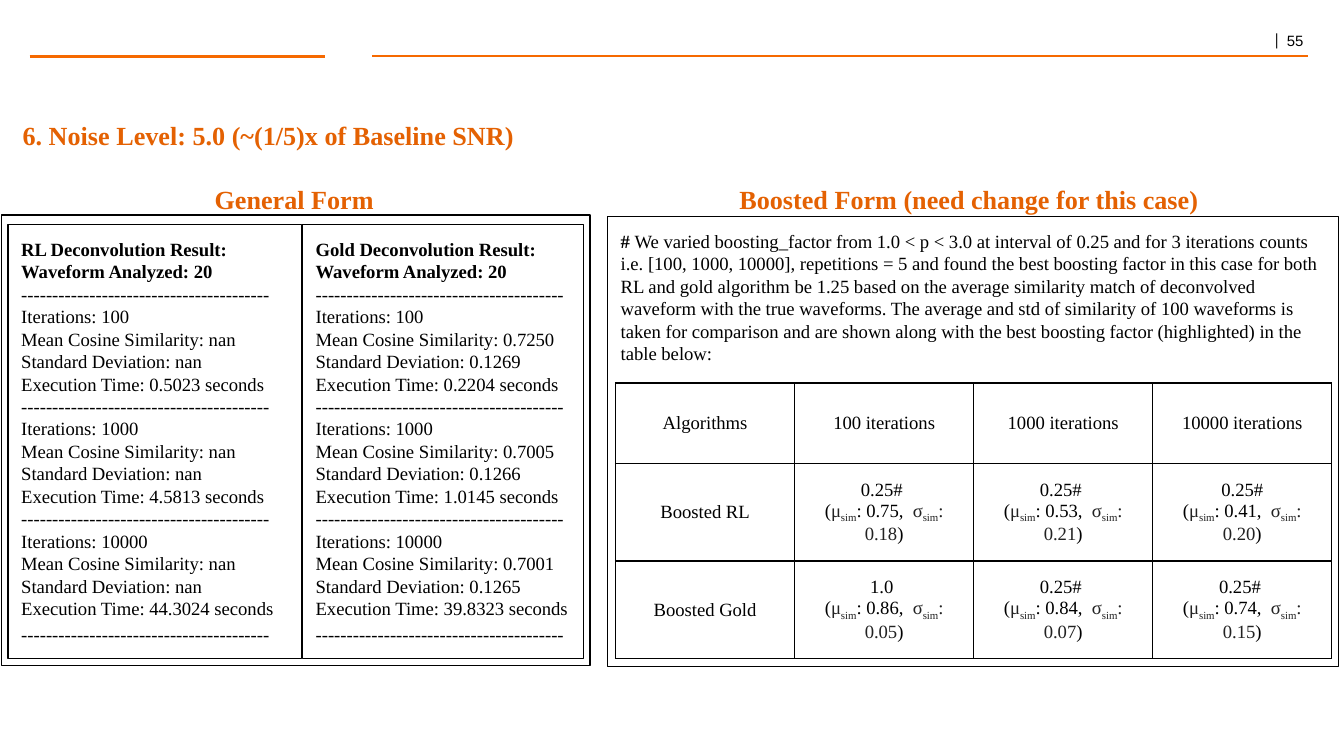
from dataclasses import dataclass

from lxml import etree
from pptx import Presentation
from pptx import util as u
from pptx.dml.color import RGBColor
from pptx.enum import shapes, text
from pptx.oxml.ns import qn


@dataclass(frozen=True)
class Theme:
    accent: RGBColor = RGBColor.from_string("E46102")
    rule: RGBColor = RGBColor.from_string("F66900")
    ink: RGBColor = RGBColor.from_string("000000")
    soft: RGBColor = RGBColor.from_string("222222")
    face: str = "Times New Roman"
    heading: float = 14
    body: float = 10
    sub: int = -25000
    border: float = 0.75


@dataclass(frozen=True)
class Box:
    """Place and size in percent of the slide width."""
    x: float
    y: float
    w: float
    h: float


@dataclass(frozen=True)
class Trial:
    iterations: int
    mean: str
    deviation: str
    seconds: str


@dataclass(frozen=True)
class Report:
    name: str
    box: Box
    trials: tuple


@dataclass(frozen=True)
class Score:
    factor: str
    mean: str
    deviation: str


T = Theme()
WIDTH = u.Inches(10)
HEIGHT = WIDTH * 9 // 16
DIVIDER = "-" * 40

REPORTS = (
    Report("RL", Box(0.6, 16.7, 21.85, 32.3), (
        Trial(100, "nan", "nan", "0.5023"),
        Trial(1000, "nan", "nan", "4.5813"),
        Trial(10000, "nan", "nan", "44.3024"))),
    Report("Gold", Box(22.5, 16.7, 20.9, 32.3), (
        Trial(100, "0.7250", "0.1269", "0.2204"),
        Trial(1000, "0.7005", "0.1266", "1.0145"),
        Trial(10000, "0.7001", "0.1265", "39.8323"))),
)
SCORES = {
    "Boosted RL": (Score("0.25# ", "0.75", "0.18"), Score("0.25# ", "0.53", "0.21"),
                   Score("0.25#", "0.41", "0.20")),
    "Boosted Gold": (Score("1.0 ", "0.86", "0.05"), Score("0.25# ", "0.84", "0.07"),
                     Score("0.25# ", "0.74", "0.15")),
}
NOTE = (
    "We varied boosting_factor from 1.0 < p < 3.0 at interval of 0.25 and for 3 iterations "
    "counts i.e. [100, 1000, 10000], repetitions = 5 and found the best boosting factor in "
    "this case for both RL and gold algorithm be 1.25 based on the average similarity match "
    "of deconvolved waveform with the true waveforms. The average and std of similarity of "
    "100 waveforms is taken for comparison and are shown along with the best boosting factor "
    "(highlighted) in the table below:"
)


def share(percent: float) -> int:
    return round(WIDTH * percent / 100)


def place(box: Box) -> tuple:
    return share(box.x), share(box.y), share(box.w), share(box.h)


def style(p, size: float = T.body, color: RGBColor = T.ink, bold: bool = False) -> None:
    p.font.name, p.font.size, p.font.bold = T.face, u.Pt(size), bold
    p.font.color.rgb = color


def pad(holder, x: float = 1, y: float = 1) -> None:
    holder.margin_left = holder.margin_right = share(x)
    holder.margin_top = holder.margin_bottom = share(y)


def add_rule(s, x1: float, x2: float, weight: float) -> None:
    line = s.shapes.add_connector(shapes.MSO_CONNECTOR.STRAIGHT,
                                  share(x1), share(4.2), share(x2), share(4.2))
    line.line.color.rgb, line.line.width = T.rule, u.Pt(weight)
    etree.SubElement(line._element.spPr, qn("a:effectLst"))


def add_frame(s, box: Box):
    sp = s.shapes.add_shape(shapes.MSO_SHAPE.RECTANGLE, *place(box))
    sp.shadow.inherit = False
    sp.fill.background()
    sp.line.color.rgb, sp.line.width = T.ink, u.Pt(T.border)
    tf = sp.text_frame
    pad(tf)
    tf.word_wrap = True
    tf.vertical_anchor = text.MSO_ANCHOR.TOP
    tf.paragraphs[0].alignment = text.PP_ALIGN.LEFT
    return tf


def add_heading(s, words: str, box: Box, align) -> None:
    tf = s.shapes.add_textbox(*place(box)).text_frame
    pad(tf)
    tf.word_wrap = True
    tf.vertical_anchor = text.MSO_ANCHOR.MIDDLE
    p = tf.paragraphs[0]
    p.text, p.alignment = words, align
    style(p, T.heading, T.accent, True)


def add_report(s, report: Report) -> None:
    lines = [f"{report.name} Deconvolution Result:", "Waveform Analyzed: 20", DIVIDER]
    for t in report.trials:
        lines += [f"Iterations: {t.iterations}", f"Mean Cosine Similarity: {t.mean}",
                  f"Standard Deviation: {t.deviation}",
                  f"Execution Time: {t.seconds} seconds", DIVIDER]
    tf = add_frame(s, report.box)
    for i, words in enumerate(lines):
        p = tf.add_paragraph() if i else tf.paragraphs[0]
        p.text, p.alignment = words, text.PP_ALIGN.LEFT
        style(p, bold=i < 2)
    p.line_spacing = 1.15


def add_score(tf, score: Score) -> None:
    tf.text = score.factor
    p = tf.add_paragraph()
    parts = (("(", T.ink), ("μ", T.soft), ("sim", T.soft), (f": {score.mean},  ", T.ink),
             ("σ", T.soft), ("sim", T.soft), (f": {score.deviation}", T.soft), (")", T.ink))
    for words, color in parts:
        r = p.add_run()
        r.text, r.font.color.rgb = words, color
        if words == "sim":
            r._r.get_or_add_rPr().set("baseline", str(T.sub))


def border_cell(cell) -> None:
    cell.fill.background()
    tcPr = cell._tc.get_or_add_tcPr()
    for i, side in enumerate(("lnL", "lnR", "lnT", "lnB")):
        ln = etree.Element(qn(f"a:{side}"), w=str(u.Pt(T.border)))
        fill = etree.SubElement(ln, qn("a:solidFill"))
        etree.SubElement(fill, qn("a:srgbClr"), val=str(T.ink))
        tcPr.insert(i, ln)


def add_scores(s, box: Box, rows: tuple) -> None:
    grid = [["Algorithms", *(f"{n} iterations" for n in (100, 1000, 10000))]]
    grid += [[name, *scores] for name, scores in SCORES.items()]
    table = s.shapes.add_table(len(grid), len(grid[0]), *place(box)).table
    for column in table.columns:
        column.width = share(box.w / len(grid[0]))
    for i, values in enumerate(grid):
        table.rows[i].height = share(rows[i])
        for j, value in enumerate(values):
            cell = table.cell(i, j)
            border_cell(cell)
            pad(cell)
            cell.vertical_anchor = text.MSO_ANCHOR.MIDDLE
            if isinstance(value, Score):
                add_score(cell.text_frame, value)
            else:
                cell.text_frame.text = value
            for p in cell.text_frame.paragraphs:
                p.alignment = text.PP_ALIGN.CENTER
                style(p)


def main() -> None:
    prs = Presentation()
    prs.slide_width, prs.slide_height = WIDTH, HEIGHT
    s = prs.slides.add_slide(prs.slide_layouts[6])

    # Page number and header rules
    tf = s.shapes.add_textbox(*place(Box(94.1, 2.1, 10.2, 2))).text_frame
    pad(tf, 0.7, 0.4)
    tf.word_wrap = True
    p = tf.paragraphs[0]
    p.line_spacing = 0.8
    for words, face, size in (("|  ", "Cambria", 9), ("55", "Arial", 8)):
        r = p.add_run()
        r.text, r.font.name, r.font.size = words, face, u.Pt(size)
        r.font.color.rgb = T.ink
    add_rule(s, 2.2, 24.2, 2)
    add_rule(s, 27.7, 97.3, 1)

    # General form: two result lists in one frame
    add_frame(s, Box(0.1, 16, 43.8, 33.5))
    for report in REPORTS:
        add_report(s, report)

    # Boosted form: note and score table
    p = add_frame(s, Box(45.2, 16.1, 54.4, 33.5)).paragraphs[0]
    for words, bold in (("# ", True), (NOTE, False)):
        r = p.add_run()
        r.text, r.font.bold = words, bold
    style(p)
    add_scores(s, Box(45.8, 28.5, 53.3, 20.5), (6, 7.25, 7.25))

    # Headings
    centre = text.PP_ALIGN.CENTER
    add_heading(s, "6. Noise Level: 5.0 (~(1/5)x of Baseline SNR)",
                Box(0.7, 8.75, 42.3, 2.6), text.PP_ALIGN.LEFT)
    add_heading(s, "General Form", Box(0.75, 13.5, 42.3, 2.6), centre)
    add_heading(s, "Boosted Form (need change for this case) ",
                Box(53.9, 12.6, 36.9, 4.4), centre)
    prs.save("out.pptx")


if __name__ == "__main__":
    main()
